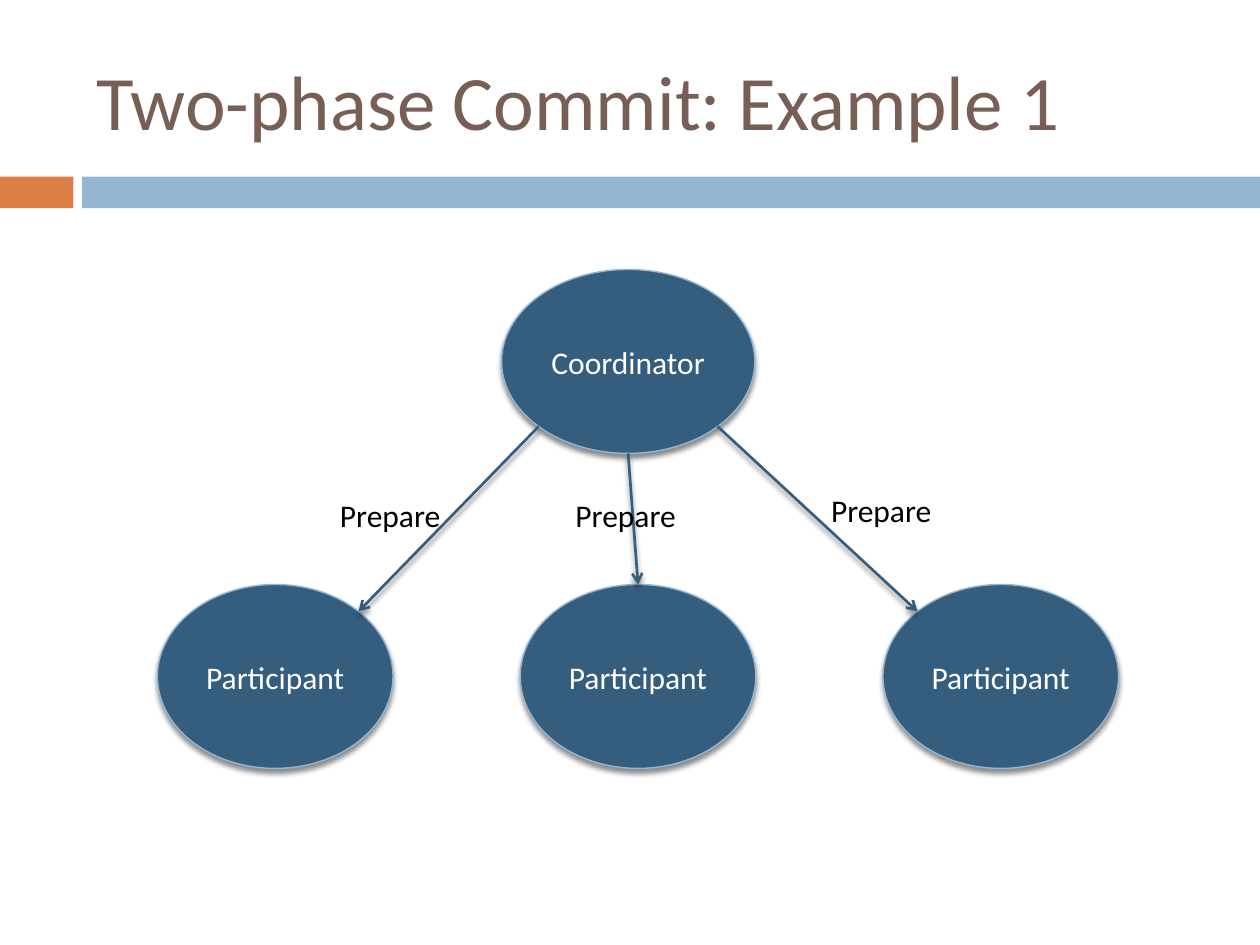
from math import sqrt

from lxml import etree
from pptx import Presentation
from pptx.dml.color import RGBColor
from pptx.enum.shapes import MSO_CONNECTOR, MSO_SHAPE
from pptx.enum.text import MSO_ANCHOR, MSO_AUTO_SIZE, PP_ALIGN
from pptx.oxml import parse_xml
from pptx.oxml.ns import nsdecls, qn
from pptx.util import Pt

OVAL, RECTANGLE = MSO_SHAPE.OVAL, MSO_SHAPE.RECTANGLE
STRAIGHT = MSO_CONNECTOR.STRAIGHT
MIDDLE = MSO_ANCHOR.MIDDLE
LEFT, CENTER = PP_ALIGN.LEFT, PP_ALIGN.CENTER
FIT_SHAPE, NO_FIT = MSO_AUTO_SIZE.SHAPE_TO_FIT_TEXT, MSO_AUTO_SIZE.NONE

BROWN = RGBColor(0x77, 0x5F, 0x55)
ORANGE = RGBColor(0xDD, 0x80, 0x47)
LIGHT_BLUE = RGBColor(0x94, 0xB6, 0xD2)
DARK_BLUE = RGBColor(0x35, 0x5D, 0x7E)
WHITE = RGBColor(0xFF, 0xFF, 0xFF)
BLACK = RGBColor(0, 0, 0)
FONT = "Calibri"

SHADOW_XML = (
    f'<a:effectLst {nsdecls("a")}>'
    f'<a:outerShdw blurRad="{Pt(3)}" dist="{Pt(2.4)}" dir="5400000" rotWithShape="0">'
    '<a:srgbClr val="000000"><a:alpha val="45000"/></a:srgbClr>'
    "</a:outerShdw></a:effectLst>"
)


def write(text_frame, text, size, color, align):
    """Put one formatted paragraph into a text frame."""
    text_frame.text = text
    paragraph = text_frame.paragraphs[0]
    paragraph.alignment = align
    font = paragraph.runs[0].font
    font.name, font.size, font.color.rgb = FONT, Pt(size), color


def cast_shadow(drawn):
    """Add the soft downward shadow after the line has been set."""
    drawn.element.spPr.append(parse_xml(SHADOW_XML))


def ellipse_point(box, across, down):
    """Return the point of the ellipse in the box lying in a given direction."""
    left, top, width, height = box
    length = sqrt(across**2 + down**2)
    return (left + width / 2 * (1 + across / length),
            top + height / 2 * (1 + down / length))


def add_header(slide, box, text):
    """Place the title above the two-coloured band at the foot of the box."""
    left, top, width, height = box
    band_height, accent_width, gap = 18, 42, 5
    band_top = top + height - band_height
    band_left = left + accent_width + gap
    for bar_left, bar_width, color in (
        (left, accent_width, ORANGE),
        (band_left, left + width - band_left, LIGHT_BLUE),
    ):
        bar = slide.shapes.add_shape(
            RECTANGLE, Pt(bar_left), Pt(band_top), Pt(bar_width), Pt(band_height))
        bar.shadow.inherit = False
        bar.fill.solid()
        bar.fill.fore_color.rgb = color
        bar.line.fill.background()
    title = slide.shapes.title
    title.left, title.top = Pt(left + 48), Pt(top + 18)
    title.width, title.height = Pt(642), Pt(78)
    title.text_frame.auto_size = NO_FIT
    title.text_frame.vertical_anchor = MIDDLE
    write(title.text_frame, text, 44, BROWN, LEFT)


def add_node(slide, box, text):
    """Draw one process of the protocol as a labelled ellipse."""
    node = slide.shapes.add_shape(OVAL, *map(Pt, box))
    node.fill.solid()
    node.fill.fore_color.rgb = DARK_BLUE
    node.line.color.rgb = LIGHT_BLUE
    node.line.width = Pt(0.79)
    cast_shadow(node)
    node.text_frame.vertical_anchor = MIDDLE
    write(node.text_frame, text, 18, WHITE, CENTER)


def add_arrow(slide, start, end):
    """Draw a message arrow between two points."""
    arrow = slide.shapes.add_connector(STRAIGHT, *map(Pt, start + end))
    arrow.line.color.rgb = DARK_BLUE
    arrow.line.width = Pt(1.5)
    line = arrow.element.spPr.find(qn("a:ln"))
    etree.SubElement(line, qn("a:tailEnd"), type="arrow")
    cast_shadow(arrow)


def add_message(slide, box, text):
    """Write the name of a message beside its arrow."""
    message = slide.shapes.add_textbox(*map(Pt, box))
    message.text_frame.word_wrap = False
    message.text_frame.auto_size = FIT_SHAPE
    write(message.text_frame, text, 18, BLACK, LEFT)


def add_commit_tree(slide, box):
    """Draw the coordinator sending a message to each participant below it."""
    left, top, width, height = box
    node_height, participant_width = 105.1, 134.6
    coordinator = (left + 196.6, top, 144.7, node_height)
    participant_gap = (width - participant_width) / 2
    participants = [
        (left + column * participant_gap, top + height - node_height,
         participant_width, node_height)
        for column in range(3)
    ]
    add_node(slide, coordinator, "Coordinator")
    for participant in participants:
        add_node(slide, participant, "Participant")
    for participant, across in zip(participants, (-1, 0, 1)):
        add_arrow(slide, ellipse_point(coordinator, across, 1),
                  ellipse_point(participant, -across, -1))
    for message_left, message_top in ((97.2, 126), (231.8, 126), (377.8, 123)):
        add_message(slide, (left + message_left, top + message_top, 74.2, 28.8), "Prepare")


def main():
    """Build the slide and save it."""
    presentation = Presentation()
    presentation.slide_width, presentation.slide_height = Pt(720), Pt(540)
    slide = presentation.slides.add_slide(presentation.slide_layouts[5])
    add_header(slide, (0, 0, 720, 119), "Two-phase Commit: Example 1")
    add_commit_tree(slide, (90, 154, 549.2, 285.1))
    presentation.save("out.pptx")


if __name__ == "__main__":
    main()
